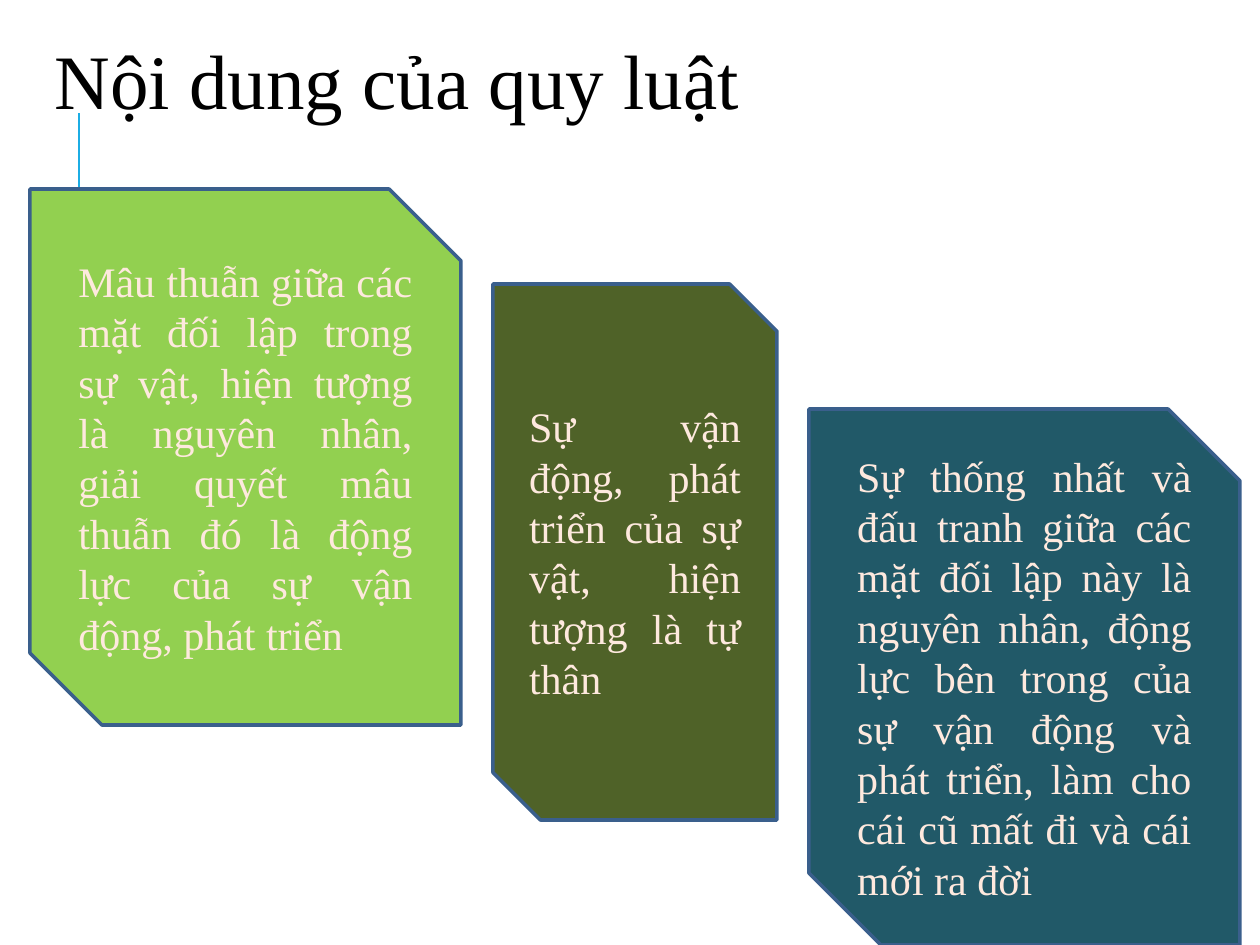
from dataclasses import dataclass

from lxml.etree import SubElement
from pptx import Presentation
from pptx.dml.color import RGBColor
from pptx.enum.shapes import MSO_CONNECTOR as Connector, MSO_SHAPE as Shape
from pptx.enum.text import MSO_ANCHOR as Anchor, MSO_AUTO_SIZE as AutoSize, PP_ALIGN as Align
from pptx.oxml.ns import qn
from pptx.util import Emu, Pt


@dataclass(frozen=True)
class Theme:
    font: str = "Times New Roman"
    title_color: str = "000000"
    card_text: str = "FEE9DE"
    card_line: str = "3A5F8C"
    accent: str = "1CADE4"
    title_size: int = 44
    card_size: int = 24
    card_border: float = 2
    accent_width: float = 1.5


THEME = Theme()
SCALE = 914400 / 126
SLIDE_SIZE = (1260, 945)

TITLE = "Nội dung của quy luật"
TITLE_AREA = (42, 21, 1124, 127)
ACCENT_LINE = (79, 239, 79, 113)

CARD_LEFT, CARD_GAP, CARD_HEIGHT = 30, 32, 536
CARDS = [
    {"top": 189, "width": 431, "fill": "92D050",
     "text": "Mâu thuẫn giữa các mặt đối lập trong sự vật, hiện tượng là nguyên nhân, "
             "giải quyết mâu thuẫn đó là động lực của sự vận động, phát triển"},
    {"top": 284, "width": 284, "fill": "4F6228",
     "text": "Sự vận động, phát triển của sự vật, hiện tượng là tự thân"},
    {"top": 409, "width": 431, "fill": "215968",
     "text": "Sự thống nhất và đấu tranh giữa các mặt đối lập này là nguyên nhân, "
             "động lực bên trong của sự vận động và phát triển, làm cho cái cũ mất đi "
             "và cái mới ra đời"},
]


def px(*lengths):
    return [Emu(round(length * SCALE)) for length in lengths]


def rgb(value):
    return RGBColor.from_string(value)


def write(shape, text, size, color, align, spacing=1.0):
    frame = shape.text_frame
    frame.word_wrap = True
    frame.auto_size = AutoSize.NONE
    frame.vertical_anchor = Anchor.MIDDLE
    para = frame.paragraphs[0]
    para.alignment = align
    para.line_spacing = spacing
    span = para.add_run()
    span.text = text
    span.font.name = THEME.font
    span.font.size = Pt(size)
    span.font.color.rgb = rgb(color)


def add_title(page):
    title = page.shapes.title
    title.left, title.top, title.width, title.height = px(*TITLE_AREA)
    write(title, TITLE, size=THEME.title_size, color=THEME.title_color,
          align=Align.LEFT, spacing=0.9)


def add_accent(page):
    line = page.shapes.add_connector(Connector.STRAIGHT, *px(*ACCENT_LINE))
    line.line.color.rgb = rgb(THEME.accent)
    line.line.width = Pt(THEME.accent_width)
    SubElement(line._element.spPr, qn("a:effectLst"))


def add_cards(page):
    left = CARD_LEFT
    for card in CARDS:
        area = px(left, card["top"], card["width"], CARD_HEIGHT)
        box = page.shapes.add_shape(Shape.SNIP_2_DIAG_RECTANGLE, *area)
        box.shadow.inherit = False
        box.fill.solid()
        box.fill.fore_color.rgb = rgb(card["fill"])
        box.line.color.rgb = rgb(THEME.card_line)
        box.line.width = Pt(THEME.card_border)
        write(box, card["text"], size=THEME.card_size, color=THEME.card_text,
              align=Align.JUSTIFY)
        left += card["width"] + CARD_GAP


def main():
    deck = Presentation()
    deck.slide_width, deck.slide_height = px(*SLIDE_SIZE)
    page = deck.slides.add_slide(deck.slide_layouts[5])
    add_title(page)
    add_accent(page)
    add_cards(page)
    deck.save("out.pptx")


if __name__ == "__main__":
    main()
